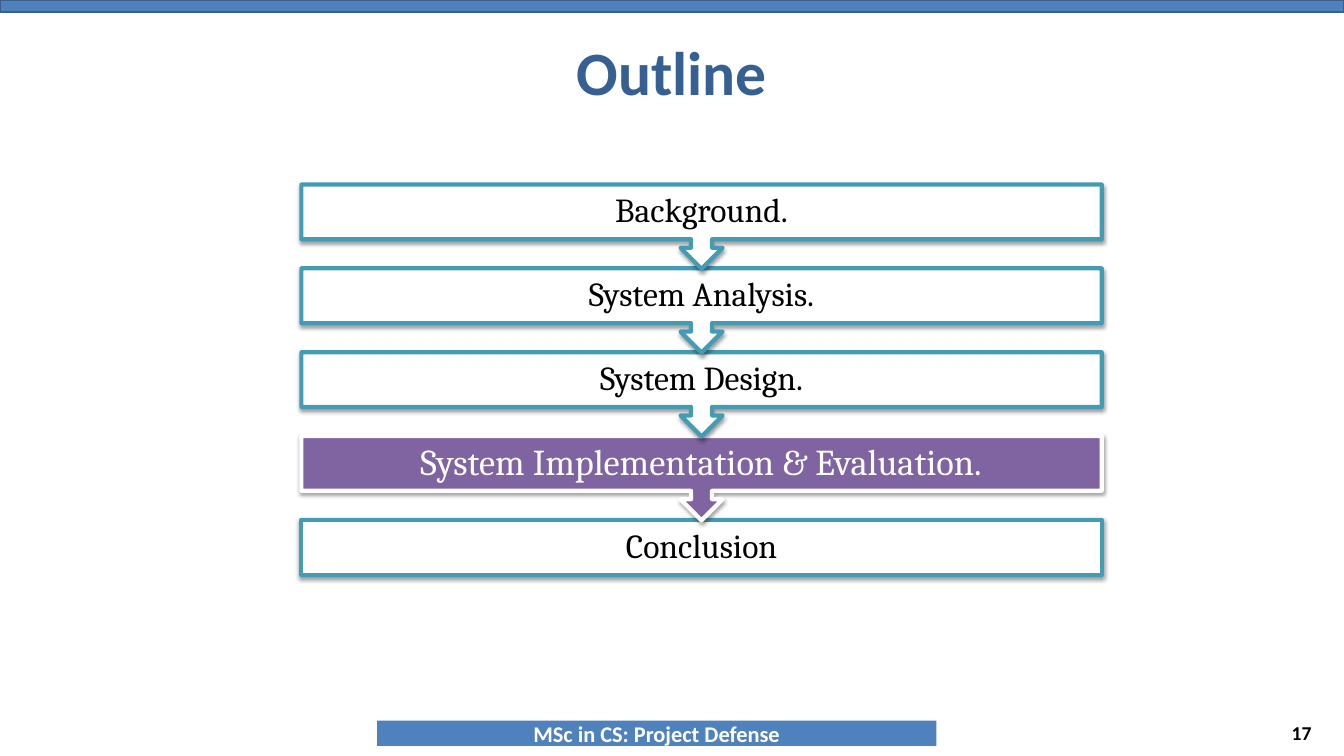
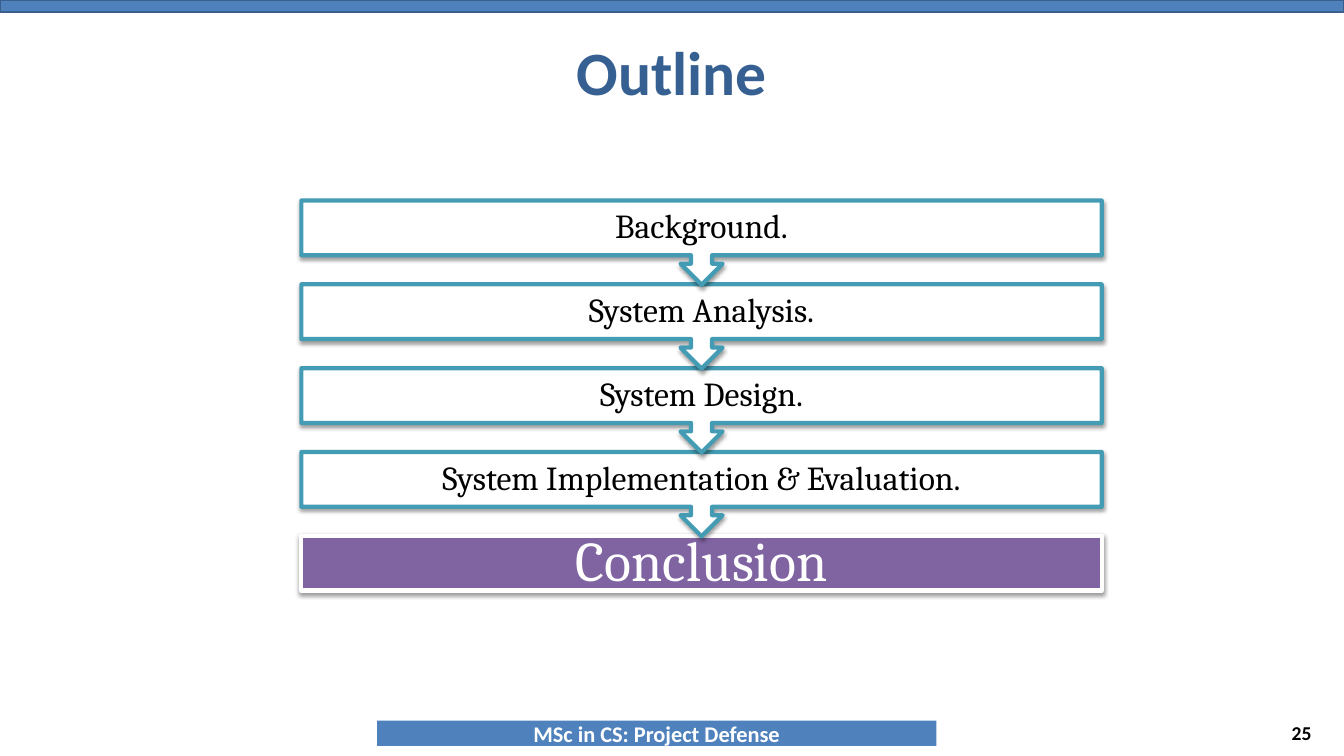
from dataclasses import dataclass
from lxml import etree
from pptx import Presentation
from pptx.dml.color import RGBColor
from pptx.enum.shapes import MSO_SHAPE
from pptx.enum.text import MSO_ANCHOR, PP_ALIGN
from pptx.oxml.ns import qn
from pptx.util import Pt

RECT = MSO_SHAPE.RECTANGLE
CALLOUT = MSO_SHAPE.DOWN_ARROW_CALLOUT
MIDDLE = MSO_ANCHOR.MIDDLE
CENTER, RIGHT = PP_ALIGN.CENTER, PP_ALIGN.RIGHT


@dataclass(frozen=True)
class Theme:
    blue: str = "4F81BD"
    edge: str = "3A5F8C"
    navy: str = "376092"
    teal: str = "449CB4"
    violet: str = "8064A2"
    white: str = "FFFFFF"
    black: str = "000000"
    sans: str = "Calibri"
    serif: str = "Cambria"
    title: int = 44
    step: int = 24
    foot: int = 16
    num: int = 14


T = Theme()
PAGE = (0, 0, 960, 540)
STEPS = ["Background.", "System Analysis.", "System Design.",
         "System Implementation & Evaluation.", "Conclusion"]
PITCH, TALL, RATIO = 59.9, 60.2, 0.65


def rgb(code):
    return RGBColor.from_string(code)


def write(shape, text, face, size, color, align=CENTER, bold=False):
    frame = shape.text_frame
    frame.word_wrap = True
    frame.vertical_anchor = MIDDLE
    frame.margin_top = frame.margin_bottom = 0
    para = frame.paragraphs[0]
    para.text = text
    para.alignment = align
    font = para.font
    font.name, font.size, font.bold = face, Pt(size), bold
    font.color.rgb = rgb(color)
    return para


def block(slide, kind, box, fill, line=None, width=0):
    shape = slide.shapes.add_shape(kind, *map(Pt, box))
    shape.shadow.inherit = False
    shape.fill.solid()
    shape.fill.fore_color.rgb = rgb(fill)
    if line:
        shape.line.color.rgb = rgb(line)
        shape.line.width = Pt(width)
    else:
        shape.line.fill.background()
    return shape


def label(slide, box, *style, **more):
    write(slide.shapes.add_textbox(*map(Pt, box)), *style, **more)


def shade(shape):
    effect = shape._element.spPr.find(qn("a:effectLst"))
    outer = etree.SubElement(effect, qn("a:outerShdw"), blurRad=str(Pt(3.1)),
                             dist=str(Pt(1.6)), dir="5400000", rotWithShape="0")
    color = etree.SubElement(outer, qn("a:srgbClr"), val=T.black)
    etree.SubElement(color, qn("a:alpha"), val="38000")


def frame(slide, box, title, number):
    left, top, width, height = box
    base = top + height
    block(slide, RECT, (left, top, width, 8.6), T.blue, T.edge, 2)
    foot = block(slide, RECT, (left + 269.3, base - 25.2, 399.6, 18), T.blue)
    write(foot, "MSc in CS: Project Defense", T.sans, T.foot, T.white, bold=True)
    label(slide, (left + 48, top + 18, width - 96, 65.5),
          title, T.sans, T.title, T.navy, bold=True)
    label(slide, (left + 720, base - 31, 224, 28.8),
          str(number), T.sans, T.num, T.black, align=RIGHT, bold=True)


def flow(slide, box, steps, active, size):
    left, top, width = box
    last = len(steps) - 1
    for index in reversed(range(len(steps))):
        kind, tall = (RECT, TALL * RATIO) if index == last else (CALLOUT, TALL)
        hot = index == active
        fill, line, ink = ((T.violet, T.white, T.white) if hot
                           else (T.white, T.teal, T.black))
        place = (left, top + index * PITCH, width, tall)
        shape = block(slide, kind, place, fill, line, 3)
        if kind == CALLOUT:
            for spot, value in enumerate((0.25, 0.25, 0.25, RATIO)):
                shape.adjustments[spot] = value
        shade(shape)
        para = write(shape, steps[index], T.serif, size if hot else T.step, ink)
        para.line_spacing = 0.9


def outline(deck, number, top, active, size):
    slide = deck.slides.add_slide(deck.slide_layouts[6])
    frame(slide, PAGE, "Outline", number)
    flow(slide, (215.3, top, 571.7), STEPS, active, size)


def main():
    deck = Presentation()
    deck.slide_width, deck.slide_height = Pt(PAGE[2]), Pt(PAGE[3])
    outline(deck, 17, 131.8, 3, 26)
    outline(deck, 25, 143.2, 4, 40)
    deck.save("out.pptx")


if __name__ == "__main__":
    main()
